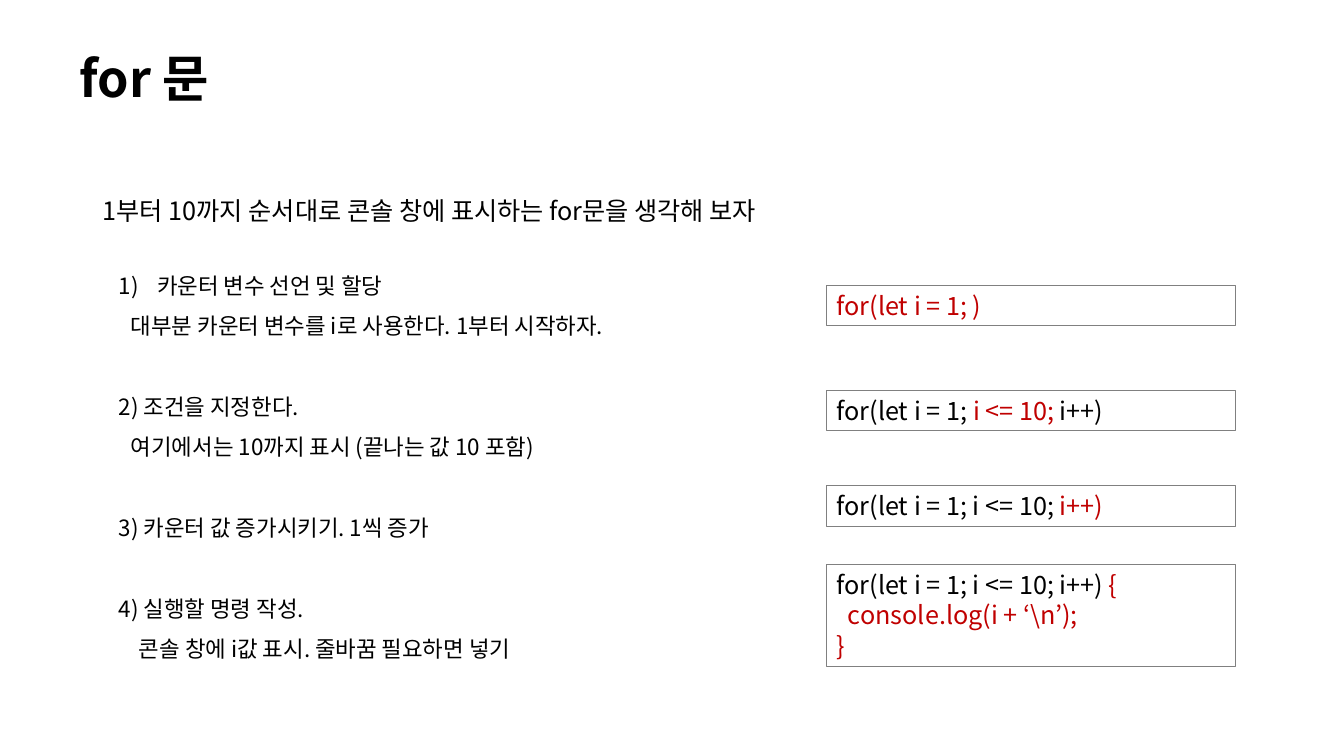
from lxml import etree
from pptx import Presentation
from pptx.dml.color import RGBColor
from pptx.enum.shapes import MSO_SHAPE
from pptx.enum.text import MSO_ANCHOR, PP_ALIGN
from pptx.oxml.ns import qn
from pptx.util import Inches, Pt

RECTANGLE = MSO_SHAPE.RECTANGLE
TOP, MIDDLE = MSO_ANCHOR.TOP, MSO_ANCHOR.MIDDLE
LEFT, JUSTIFY = PP_ALIGN.LEFT, PP_ALIGN.JUSTIFY
BLACK = RGBColor(0x00, 0x00, 0x00)
RED = RGBColor(0xC0, 0x00, 0x00)
GRAY = RGBColor(0x80, 0x80, 0x80)
FONT = "Noto Sans CJK KR"

STEPS = [
    ("카운터 변수 선언 및 할당", 0.38, False),
    ("대부분 카운터 변수를 i로 사용한다. 1부터 시작하자.", 0.12, False),
    ("2) 조건을 지정한다.", 0, True),
    ("여기에서는 10까지 표시 (끝나는 값 10 포함)", 0.12, False),
    ("3) 카운터 값 증가시키기. 1씩 증가", 0, True),
    ("4) 실행할 명령 작성.", 0, True),
    ("콘솔 창에 i값 표시. 줄바꿈 필요하면 넣기", 0.2, False),
]

CODE_BOXES = [
    (2.83, 0.4, [[("for(let i = 1; )", RED)]]),
    (3.87, 0.4, [[("for(let i = 1; ", BLACK), ("i <= 10; ", RED), ("i++)", BLACK)]]),
    (4.82, 0.4, [[("for(let i = 1; i <= 10; ", BLACK), ("i++)", RED)]]),
    (5.6, 1.01, [
        [("for(let i = 1; i <= 10; i++) ", BLACK), ("{", RED)],
        [("  console.log(i + ‘\\n’);", RED)],
        [("}", RED)],
    ]),
]


def add_span(para, text, size, color=BLACK, bold=False):
    span = para.add_run()
    span.text = text
    span.font.size = Pt(size)
    span.font.bold = bold
    span.font.color.rgb = color
    span.font.name = FONT
    east_asian = etree.SubElement(span.font._element, qn("a:ea"))
    east_asian.set("typeface", FONT)


def add_text_box(page, left, top, width, height, anchor=TOP):
    box = page.shapes.add_textbox(
        Inches(left), Inches(top), Inches(width), Inches(height))
    box.text_frame.word_wrap = True
    box.text_frame.vertical_anchor = anchor
    return box.text_frame


def next_para(frame, index):
    return frame.add_paragraph() if index else frame.paragraphs[0]


def add_line(page, place, text, size, spacing, align=LEFT, anchor=TOP, bold=False):
    para = add_text_box(page, *place, anchor).paragraphs[0]
    para.alignment = align
    para.line_spacing = spacing
    add_span(para, text, size, bold=bold)


def number_para(para, hanging):
    properties = para._p.get_or_add_pPr()
    properties.set("indent", str(-Inches(hanging)))
    numbering = etree.SubElement(properties, qn("a:buAutoNum"))
    numbering.set("type", "arabicParenR")


def add_steps(page):
    frame = add_text_box(page, 1.08, 2.65, 6.97, 3.96)
    for index, (text, indent, starts_step) in enumerate(STEPS):
        para = next_para(frame, index)
        para._p.get_or_add_pPr().set("marL", str(Inches(indent)))
        if index == 0:
            number_para(para, indent)
        else:
            para.line_spacing = 1.5
        if starts_step:
            para.space_before = Pt(29)
        add_span(para, text, 16)


def add_code_box(page, top, height, lines):
    box = page.shapes.add_shape(
        RECTANGLE, Inches(8.2), Inches(top), Inches(4.05), Inches(height))
    box.shadow.inherit = False
    box.fill.background()
    box.line.color.rgb = GRAY
    box.line.width = Pt(0.75)
    frame = box.text_frame
    frame.word_wrap = True
    frame.vertical_anchor = TOP
    for index, spans in enumerate(lines):
        para = next_para(frame, index)
        para.alignment = LEFT
        for text, color in spans:
            add_span(para, text, 18, color)


def main():
    deck = Presentation()
    deck.slide_width, deck.slide_height = Inches(13.33), Inches(7.5)
    page = deck.slides.add_slide(deck.slide_layouts[6])
    add_line(page, (0.69, 0.35, 9.74, 0.92), "for 문", 36, 0.9,
             anchor=MIDDLE, bold=True)
    add_line(page, (0.92, 1.74, 10.43, 0.5),
             "1부터 10까지 순서대로 콘솔 창에 표시하는 for문을 생각해 보자",
             18, 1.5, align=JUSTIFY)
    add_steps(page)
    for top, height, lines in CODE_BOXES:
        add_code_box(page, top, height, lines)
    deck.save("out.pptx")


if __name__ == "__main__":
    main()
